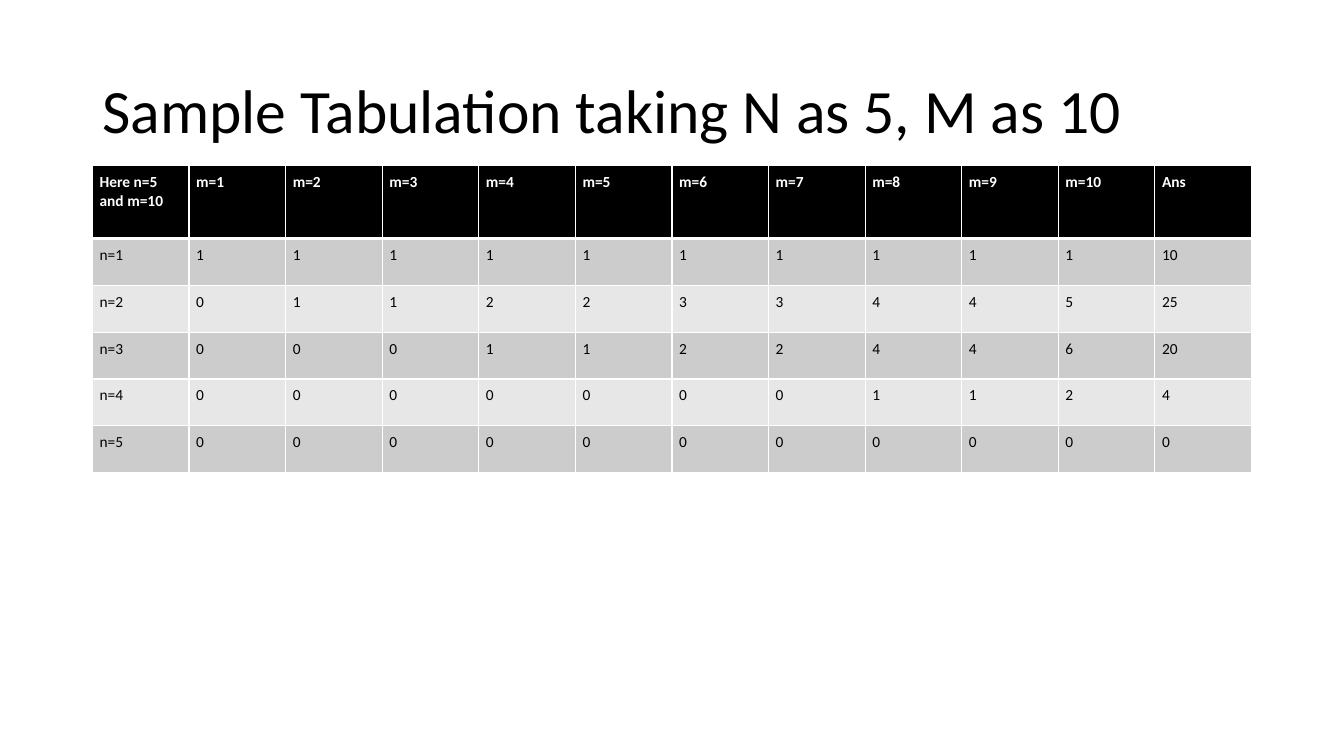
from lxml import etree
from pptx import Presentation
from pptx.dml.color import RGBColor
from pptx.enum.text import MSO_ANCHOR, MSO_AUTO_SIZE, PP_ALIGN
from pptx.oxml.ns import qn
from pptx.util import Cm, Pt

LEFT, MIDDLE, TOP = PP_ALIGN.LEFT, MSO_ANCHOR.MIDDLE, MSO_ANCHOR.TOP
NO_AUTOFIT = MSO_AUTO_SIZE.NONE
TITLE_ONLY = 5

FONT = "Calibri"
BLACK, WHITE = "000000", "FFFFFF"
BANDS = ["CCCCCC", "E7E7E7"]
CONTENT_LEFT, CONTENT_WIDTH = 2.33, 29.21
HEADER_HEIGHT, ROW_HEIGHT = 1.84, 1.18
CELL_INSET = 0.18
THIN, THICK = 1, 3

HEADER = ["Here n=5 and m=10"] + [f"m={m}" for m in range(1, 11)] + ["Ans"]
# Counts for m=1 to m=10, then the answer
COUNTS = [
    [1, 1, 1, 1, 1, 1, 1, 1, 1, 1, 10],
    [0, 1, 1, 2, 2, 3, 3, 4, 4, 5, 25],
    [0, 0, 0, 1, 1, 2, 2, 4, 4, 6, 20],
    [0, 0, 0, 0, 0, 0, 0, 1, 1, 2, 4],
    [0, 0, 0, 0, 0, 0, 0, 0, 0, 0, 0],
]


def color(value):
    return RGBColor.from_string(value)


def set_all(target, values):
    for name, value in values.items():
        setattr(target, name, value)


def write(frame, text, size, ink, bold=False):
    para = frame.paragraphs[0]
    para.alignment = LEFT
    span = para.add_run()
    span.text = text
    set_all(span.font, {"name": FONT, "size": Pt(size), "bold": bold})
    span.font.color.rgb = color(ink)
    return para


def add_border(cell, side, width):
    properties = cell._tc.get_or_add_tcPr()
    line = etree.SubElement(properties, qn(f"a:ln{side}"), w=str(Pt(width)))
    fill = etree.SubElement(line, qn("a:solidFill"))
    etree.SubElement(fill, qn("a:srgbClr"), val=WHITE)


def add_title(slide, text):
    title = slide.shapes.title
    set_all(title, {"left": Cm(CONTENT_LEFT), "top": Cm(1.01),
                    "width": Cm(CONTENT_WIDTH), "height": Cm(3.68)})
    set_all(title.text_frame, {"vertical_anchor": MIDDLE, "word_wrap": True,
                               "auto_size": NO_AUTOFIT})
    para = write(title.text_frame, text, 44, BLACK)
    para.line_spacing = 0.9


def format_cell(cell, text, row):
    is_header = row == 0
    margins = ["margin_left", "margin_top", "margin_right", "margin_bottom"]
    set_all(cell, dict.fromkeys(margins, Cm(CELL_INSET)))
    cell.vertical_anchor = TOP
    write(cell.text_frame, text, 11, WHITE if is_header else BLACK, is_header)
    # The line under the header is thicker than the others
    widths = {"L": THIN, "R": THIN, "T": THICK if row == 1 else THIN,
              "B": THICK if is_header else THIN}
    for side, width in widths.items():
        add_border(cell, side, width)
    cell.fill.solid()
    cell.fill.fore_color.rgb = color(BLACK if is_header else BANDS[(row - 1) % 2])


def add_count_table(slide, rows):
    height = HEADER_HEIGHT + ROW_HEIGHT * (len(rows) - 1)
    table = slide.shapes.add_table(
        len(rows), len(rows[0]), Cm(CONTENT_LEFT), Cm(4.17),
        Cm(CONTENT_WIDTH), Cm(height)).table
    for column in table.columns:
        column.width = Cm(CONTENT_WIDTH / len(rows[0]))
    for row, texts in enumerate(rows):
        table.rows[row].height = Cm(ROW_HEIGHT if row else HEADER_HEIGHT)
        for column, text in enumerate(texts):
            format_cell(table.cell(row, column), text, row)


def main():
    deck = Presentation()
    set_all(deck, {"slide_width": Cm(33.87), "slide_height": Cm(19.05)})
    slide = deck.slides.add_slide(deck.slide_layouts[TITLE_ONLY])

    add_title(slide, "Sample Tabulation taking N as 5, M as 10")
    body = [[f"n={n}", *map(str, counts)] for n, counts in enumerate(COUNTS, 1)]
    add_count_table(slide, [HEADER, *body])

    deck.save("out.pptx")


main()
